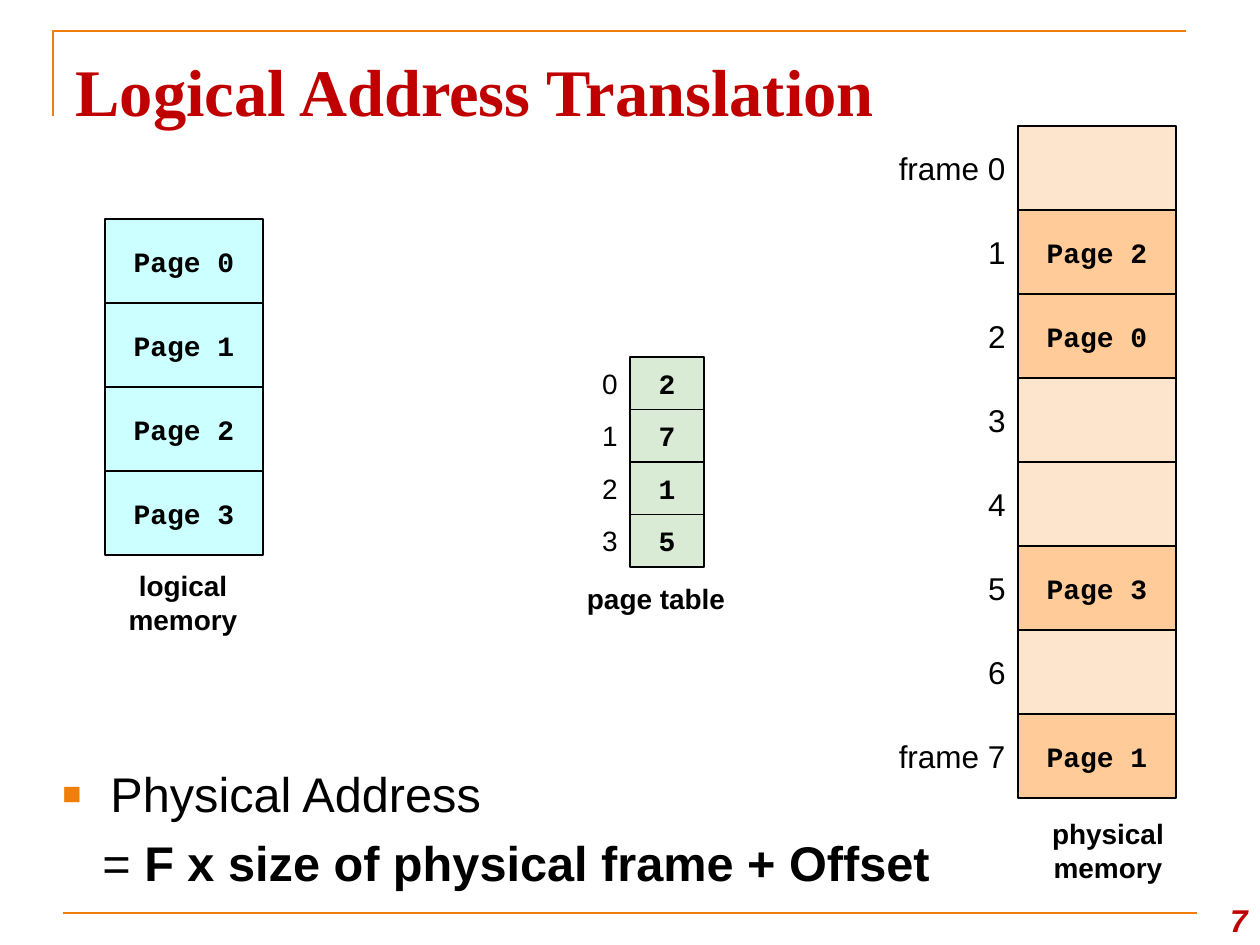
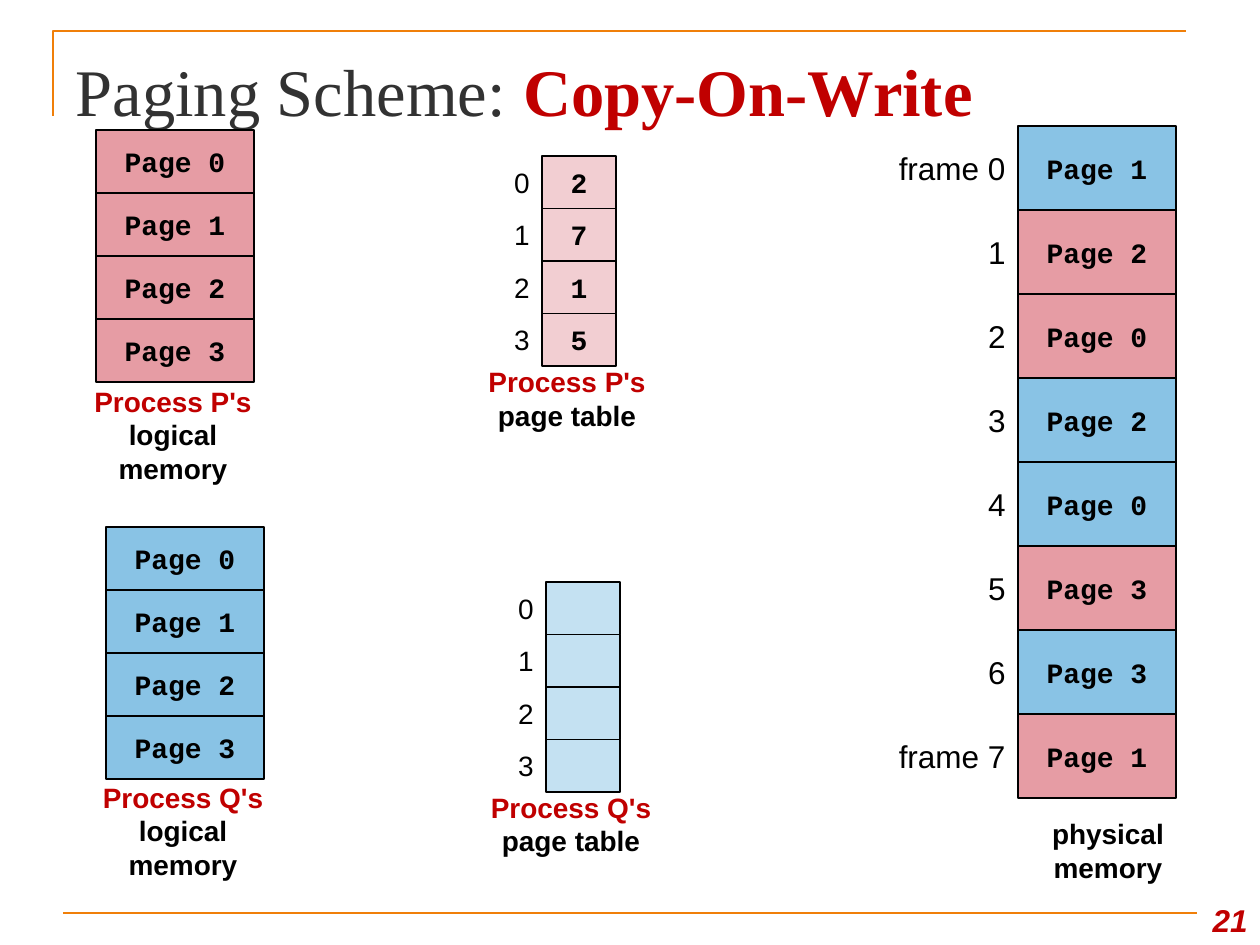
from dataclasses import dataclass, field

from lxml.etree import SubElement
from pptx import Presentation
from pptx.dml.color import RGBColor
from pptx.enum.shapes import MSO_CONNECTOR, MSO_SHAPE
from pptx.enum.text import MSO_ANCHOR, MSO_AUTO_SIZE, PP_ALIGN
from pptx.oxml.ns import qn
from pptx.util import Inches, Pt

PIXEL = Inches(1) / 126
TITLE_ONLY = 5


def px(length):
    return round(length * PIXEL)


def type_style(size, color="000000", name="Arial", bold=False, italic=False):
    return {"size": Pt(size), "color": color, "name": name, "bold": bold, "italic": italic}


@dataclass(frozen=True)
class Theme:
    rule: str = "F07F09"
    outline: str = "000000"
    page: str = "CCFFFF"
    entry: str = "D9EAD5"
    used_frame: str = "FFCC99"
    free_frame: str = "FDE5CD"
    process_p: str = "E69CA4"
    entry_p: str = "F2CED2"
    process_q: str = "89C3E5"
    entry_q: str = "C4E1F2"
    rule_width: float = 1.5
    outline_width: float = 0.75
    type: dict = field(default_factory=lambda: {
        "title": type_style(38, "323232", "Times New Roman"),
        "title strong": type_style(38, "C00000", "Times New Roman", bold=True),
        "body": type_style(27.8),
        "body strong": type_style(27.8, bold=True),
        "cell": type_style(16, name="Courier New", bold=True),
        "index": type_style(16),
        "frame": type_style(18),
        "caption": type_style(16, bold=True),
        "process": type_style(16, "C00000", bold=True),
        "number": type_style(18, "C00000", bold=True, italic=True),
    })


class PageBuilder:
    """Holds the deck, its theme and the slide being drawn."""

    def __init__(self, theme):
        self.theme = theme
        self.deck = Presentation()
        self.deck.slide_width, self.deck.slide_height = px(1260), px(945)
        self.page = None

    def start_page(self, title, number):
        self.page = self.deck.slides.add_slide(self.deck.slide_layouts[TITLE_ONLY])
        self.rules()
        box = self.page.shapes.title
        box.left, box.top, box.width, box.height = map(px, (63, 38, 1134, 98))
        self.fill_text(box, [title], PP_ALIGN.LEFT, MSO_ANCHOR.BOTTOM)
        self.text(1187, 882, 73, 63, [[(number, "number")]],
                  PP_ALIGN.RIGHT, MSO_ANCHOR.BOTTOM)

    def rules(self):
        corner = self.page.shapes.build_freeform(53, 116, scale=PIXEL)
        corner.add_line_segments([(53, 31), (1186, 31)], close=False)
        bracket = corner.convert_to_shape()
        bracket.shadow.inherit = False
        bracket.fill.background()
        baseline = self.page.shapes.add_connector(
            MSO_CONNECTOR.STRAIGHT, px(63), px(913), px(1197), px(913))
        SubElement(baseline._element.spPr, qn("a:effectLst"))
        for rule in (bracket, baseline):
            self.stroke(rule, self.theme.rule, self.theme.rule_width)

    def stroke(self, shape, color, width):
        shape.line.color.rgb = RGBColor.from_string(color)
        shape.line.width = Pt(width)

    def fill_text(self, box, paragraphs, align, anchor):
        """Fill a box with paragraphs, each a list of (text, type style) spans."""
        frame = box.text_frame
        frame.word_wrap = True
        frame.auto_size = MSO_AUTO_SIZE.NONE
        frame.vertical_anchor = anchor
        for position, spans in enumerate(paragraphs):
            para = frame.add_paragraph() if position else frame.paragraphs[0]
            para.alignment = align
            for text, style in spans:
                span = para.add_run()
                span.text = text
                for name, value in self.theme.type[style].items():
                    if name == "color":
                        span.font.color.rgb = RGBColor.from_string(value)
                    else:
                        setattr(span.font, name, value)

    def text(self, left, top, width, height, paragraphs,
             align=PP_ALIGN.CENTER, anchor=MSO_ANCHOR.MIDDLE):
        box = self.page.shapes.add_textbox(*map(px, (left, top, width, height)))
        self.fill_text(box, paragraphs, align, anchor)
        return box

    def cell(self, left, top, width, height, text, fill):
        box = self.page.shapes.add_shape(
            MSO_SHAPE.RECTANGLE, *map(px, (left, top, width, height)))
        box.shadow.inherit = False
        box.fill.solid()
        box.fill.fore_color.rgb = RGBColor.from_string(fill)
        self.stroke(box, self.theme.outline, self.theme.outline_width)
        if text:
            self.fill_text(box, [[(text, "cell")]], PP_ALIGN.CENTER, MSO_ANCHOR.MIDDLE)

    def column(self, left, top, width, height, cells, labels=(), label_width=0, style="index"):
        """Stack equal (text, fill) cells, with right-aligned labels on their left."""
        row = height / len(cells)
        for position, (text, fill) in enumerate(cells):
            self.cell(left, top + position * row, width, row, text, fill)
        for position, label in enumerate(labels):
            self.text(left - label_width, top + position * row, label_width, row,
                      [[(label, style)]], PP_ALIGN.RIGHT)

    def logical_memory(self, left, top, height, fill):
        self.column(left, top, 158, height, [(f"Page {n}", fill) for n in range(4)])

    def page_table(self, left, top, entries, fill):
        self.column(left, top, 74, 210, [(entry, fill) for entry in entries], "0123", 63)

    def physical_memory(self, frames):
        labels = ["frame 0", *"123456", "frame 7"]
        self.column(1018, 126, 158, 672, frames, labels, 136, "frame")
        self.caption(998, 798, 105, "physical memory")

    def caption(self, left, top, height, text, process=None):
        owner = [[(process, "process")]] if process else []
        self.text(left, top, 220, height, owner + [[(text, "caption")]])

    def formula(self):
        box = self.text(50, 758, 945, 125, [
            [("Physical Address", "body")],
            [("= ", "body"), ("F x size of physical frame + Offset", "body strong")],
        ], PP_ALIGN.LEFT, MSO_ANCHOR.TOP)
        heading, equation = box.text_frame.paragraphs
        bullet = heading._p.get_or_add_pPr()
        bullet.set("marL", str(px(48)))
        bullet.set("indent", str(px(-48)))
        color = SubElement(bullet, qn("a:buClr"))
        SubElement(color, qn("a:srgbClr"), val=self.theme.rule)
        SubElement(bullet, qn("a:buSzPct"), val="65000")
        SubElement(bullet, qn("a:buFont"), typeface="Arial")
        SubElement(bullet, qn("a:buChar"), char="■")
        equation._p.get_or_add_pPr().set("marL", str(px(40)))
        equation.space_before = Pt(6)


def address_translation(builder):
    theme = builder.theme
    builder.start_page([("Logical Address Translation", "title strong")], "7")
    builder.formula()
    builder.logical_memory(105, 219, 336, theme.page)
    builder.caption(73, 555, 95, "logical memory")
    builder.page_table(630, 357, "2715", theme.entry)
    builder.caption(546, 577, 42, "page table")
    pages = ["", "Page 2", "Page 0", "", "", "Page 3", "", "Page 1"]
    builder.physical_memory(
        [(page, theme.used_frame if page else theme.free_frame) for page in pages])


def copy_on_write(builder):
    theme = builder.theme
    builder.start_page(
        [("Paging Scheme: ", "title"), ("Copy-On-Write", "title strong")], "21")
    builder.logical_memory(96, 130, 252, theme.process_p)
    builder.caption(63, 387, 95, "logical memory", "Process P's")
    builder.page_table(542, 156, "2715", theme.entry_p)
    builder.caption(457, 377, 42, "page table", "Process P's")
    builder.logical_memory(106, 527, 252, theme.process_q)
    builder.caption(73, 783, 95, "logical memory", "Process Q's")
    builder.page_table(546, 582, [""] * 4, theme.entry_q)
    builder.caption(461, 803, 42, "page table", "Process Q's")
    fills = {"P": theme.process_p, "Q": theme.process_q}
    frames = zip("12020331", "QPPQQPQP")
    builder.physical_memory([(f"Page {page}", fills[owner]) for page, owner in frames])


def main():
    builder = PageBuilder(Theme())
    address_translation(builder)
    copy_on_write(builder)
    builder.deck.save("out.pptx")


if __name__ == "__main__":
    main()
